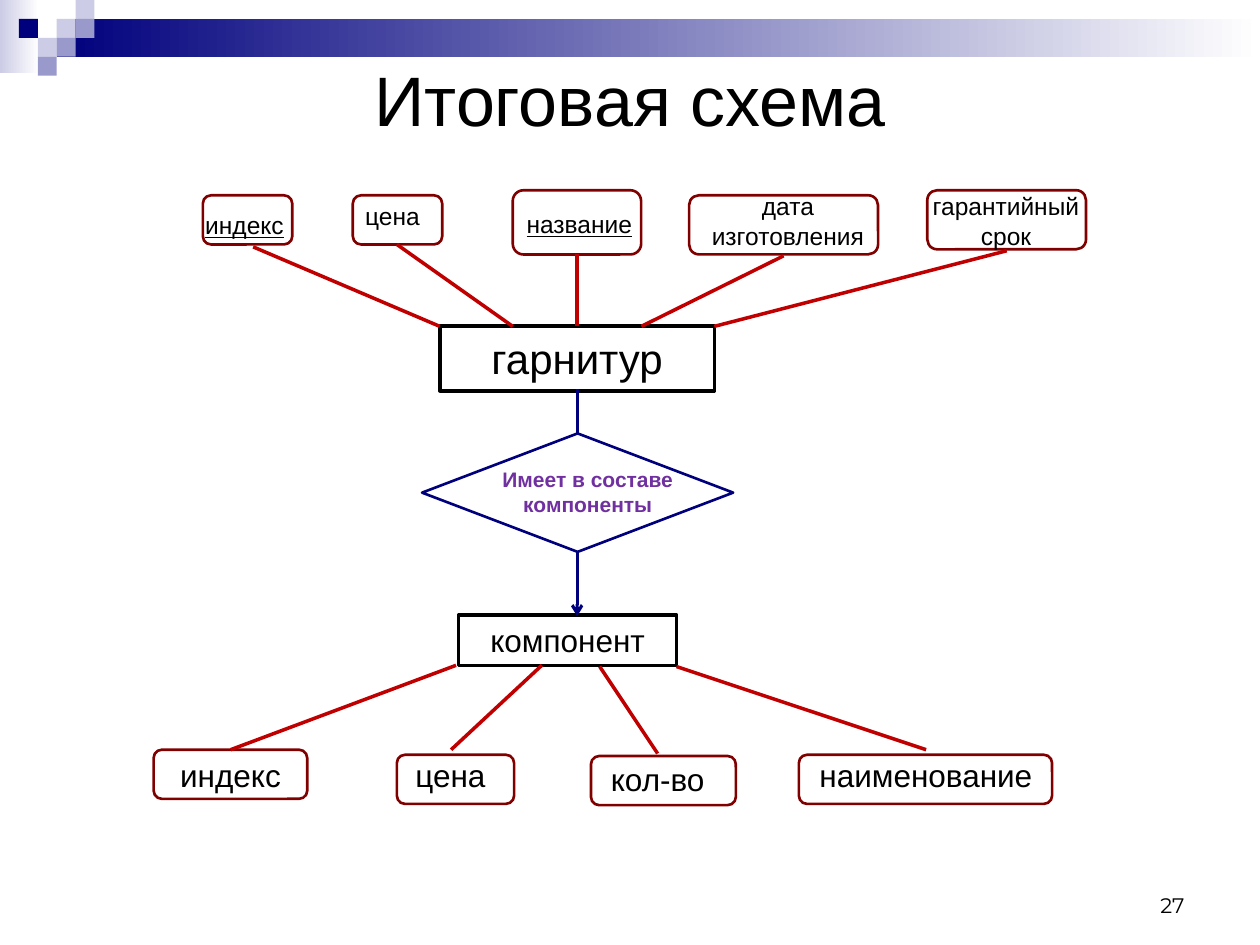
"""Build the slide with the summary entity-relationship diagram."""
from lxml.etree import SubElement
from pptx import Presentation
from pptx.dml.color import RGBColor
from pptx.enum.shapes import MSO_CONNECTOR, MSO_SHAPE
from pptx.enum.text import MSO_ANCHOR, PP_ALIGN
from pptx.oxml.ns import qn
from pptx.util import Pt

COLORS = {
    "black": "000000", "white": "FFFFFF", "navy": "00007D", "lavender": "CCCCE6",
    "periwinkle": "9999CC", "maroon": "800000", "red": "C00000", "purple": "7030A0",
}
TITLE = ("Итоговая схема", (36, 36, 648, 41))
PAGE_NUMBER = ("27", (516.2, 491.8, 167.8, 36))
BANDS = [("lavender", (0, 0, 22.3, 41.8)), ("navy", (32.4, 10.8, 687.6, 21.6))]
TILE = 10.8
TILES = [
    ("lavender", 3, 1), ("lavender", 4, 0), ("periwinkle", 4, 1), ("lavender", 2, 2),
    ("navy", 1, 1), ("periwinkle", 3, 2), ("periwinkle", 2, 3),
]
ENTITIES = [
    ("гарнитур", (251.3, 186.5, 157, 36.7), 24, 2.25),
    ("компонент", (262.1, 351.4, 124.6, 28.8), 18, 2),
]
RELATION = ("Имеет в составе компоненты", (241.2, 247.7, 177.8, 67.7), (277.2, 262.8, 117.4, 36.7))
RELATION_LINKS = [((329.8, 222.5), (329.8, 247.7), False), ((329.8, 315.4), (329.8, 352.1), True)]
SET_ATTRIBUTES = [
    ("индекс", (115.9, 111.6, 51.1, 28.1), (110.2, 116.6, 67.7, 23.8),
     ((144.7, 141.1), (251.3, 186.5)), {"underline": True, "align": PP_ALIGN.LEFT}),
    ("цена", (201.6, 111.6, 51.1, 28.1), (201.6, 111.6, 56.9, 23.8),
     ((226.8, 139.7), (293, 186.5)), {"align": PP_ALIGN.LEFT}),
    ("название", (293, 108.7, 73.4, 36.7), (293.8, 115.9, 76.3, 24.5),
     ((329.8, 145.4), (329.8, 186.5)), {"underline": True, "align": PP_ALIGN.LEFT}),
    ("дата изготовления", (393.8, 111.6, 108, 33.8), (393.8, 105.8, 113, 41),
     ((447.8, 146.2), (366.5, 186.5)), {}),
    ("гарантийный срок", (529.9, 108.7, 90.7, 33.8), (518.4, 105.8, 113, 41),
     ((575.3, 143.3), (408.2, 186.5)), {}),
]
COMPONENT_ATTRIBUTES = [
    ("индекс", (87.8, 428.4, 87.8, 28.1), (93.6, 428.4, 76.3, 28.8),
     ((260.6, 380.2), (131.8, 428.4)), {}),
    ("цена", (226.8, 431.3, 67, 28.1), (227.5, 428.4, 59.8, 28.8),
     ((309.6, 380.2), (257.8, 428.4)), {}),
    ("кол-во", (337.7, 432, 82.8, 28.1), (337.7, 430.6, 76.3, 28.8),
     ((342.7, 380.9), (375.8, 430.6)), {}),
    ("наименование", (456.5, 431.3, 144.7, 28.1), (458.6, 428.4, 141.1, 28.8),
     ((386.6, 380.9), (529.2, 428.4)), {}),
]


def rgb(name):
    return RGBColor.from_string(COLORS[name])


def points(values):
    return [Pt(value) for value in values]


def write(holder, text, size=18, font="Arial", color="black", bold=False, underline=False,
          align=PP_ALIGN.CENTER, anchor=MSO_ANCHOR.TOP):
    frame = holder.text_frame
    frame.word_wrap = True
    frame.vertical_anchor = anchor
    paragraph = frame.paragraphs[0]
    paragraph.alignment = align
    run = paragraph.add_run()
    run.text = text
    run.font.size, run.font.name = Pt(size), font
    run.font.bold, run.font.underline = bold, underline
    run.font.color.rgb = rgb(color)


def label(slide, text, box, **style):
    write(slide.shapes.add_textbox(*points(box)), text, **style)


def draw(slide, kind, box, fill=None, fade=False, line=None, width=1.5):
    shape = slide.shapes.add_shape(kind, *points(box))
    shape.shadow.inherit = False
    if fade:
        shape.fill.gradient()
        shape.fill.gradient_angle = 0
        for stop, name in zip(shape.fill.gradient_stops, (fill, "white")):
            stop.color.rgb = rgb(name)
    elif fill:
        shape.fill.solid()
        shape.fill.fore_color.rgb = rgb(fill)
    else:
        shape.fill.background()
    if line:
        shape.line.color.rgb = rgb(line)
        shape.line.width = Pt(width)
    else:
        shape.line.fill.background()
    return shape


def link(slide, start, end, color, width, arrow=False):
    connector = slide.shapes.add_connector(MSO_CONNECTOR.STRAIGHT, *points(start + end))
    connector.line.color.rgb = rgb(color)
    connector.line.width = Pt(width)
    if arrow:
        SubElement(connector.line._get_or_add_ln(), qn("a:tailEnd"), type="arrow")
    SubElement(connector._element.spPr, qn("a:effectLst"))


def add_attributes(slide, attributes, size):
    for _, frame, _, _, _ in attributes:
        shape = draw(slide, MSO_SHAPE.ROUNDED_RECTANGLE, frame, line="maroon")
        shape.adjustments[0] = 0.167
    for text, _, box, ends, style in attributes:
        label(slide, text, box, size=size, **style)
        link(slide, *ends, "red", 2)


def main():
    deck = Presentation()
    deck.slide_width, deck.slide_height = Pt(720), Pt(540)
    slide = deck.slides.add_slide(deck.slide_layouts[6])

    for color, box in BANDS:
        draw(slide, MSO_SHAPE.RECTANGLE, box, fill=color, fade=True)
    for color, column, row in TILES:
        box = (column * TILE, row * TILE, TILE, TILE)
        draw(slide, MSO_SHAPE.RECTANGLE, box, fill=color)
    label(slide, *TITLE, size=40, anchor=MSO_ANCHOR.MIDDLE)

    for text, box, size, width in ENTITIES:
        entity = draw(slide, MSO_SHAPE.RECTANGLE, box, line="black", width=width)
        write(entity, text, size=size)

    relation, diamond, relation_box = RELATION
    draw(slide, MSO_SHAPE.DIAMOND, diamond, line="navy")
    for start, end, arrow in RELATION_LINKS:
        link(slide, start, end, "navy", 1.75, arrow)
    label(slide, relation, relation_box, size=12, color="purple", bold=True)

    add_attributes(slide, SET_ATTRIBUTES, 14)
    add_attributes(slide, COMPONENT_ATTRIBUTES, 18)
    label(slide, *PAGE_NUMBER, size=12, font="Montserrat", align=PP_ALIGN.RIGHT,
          anchor=MSO_ANCHOR.BOTTOM)
    deck.save("out.pptx")


if __name__ == "__main__":
    main()
